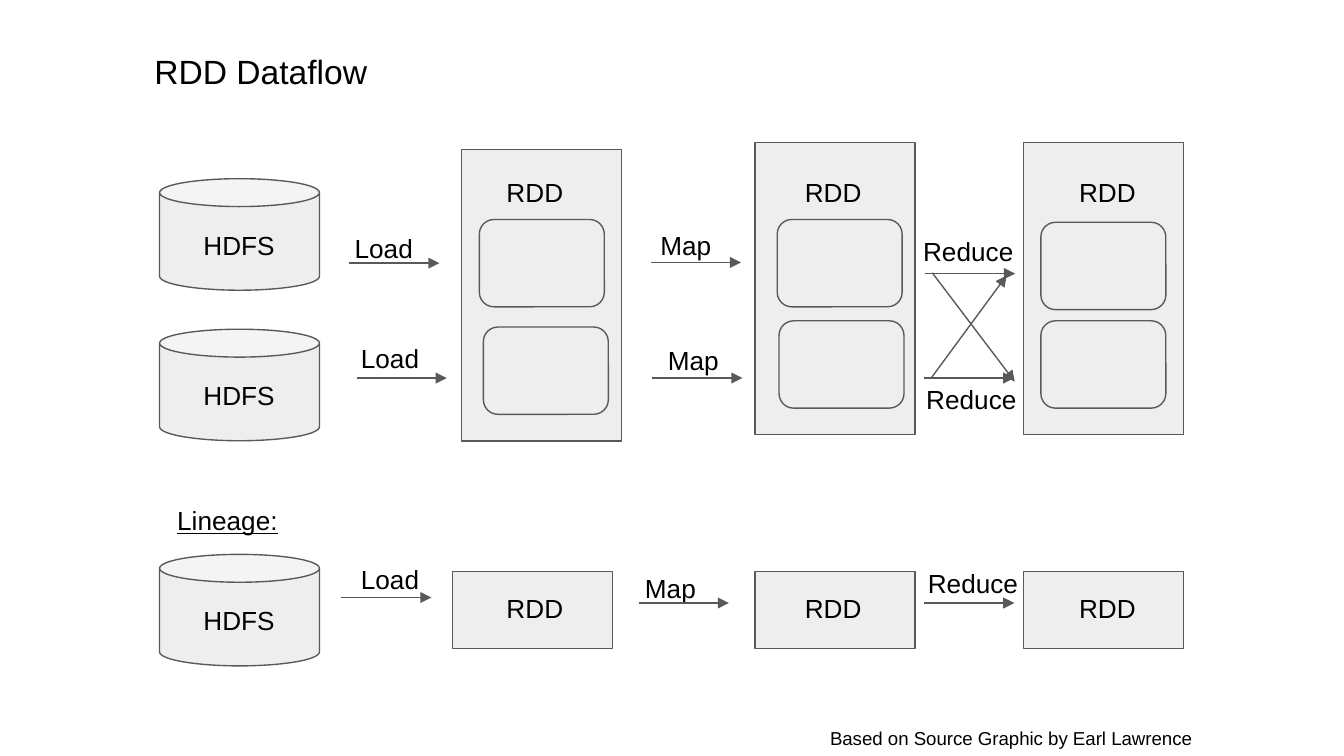
from dataclasses import dataclass
from lxml.etree import SubElement
from pptx import Presentation
from pptx.dml.color import RGBColor
from pptx.enum.shapes import MSO_CONNECTOR, MSO_SHAPE
from pptx.oxml.ns import qn
from pptx.util import Inches, Pt


@dataclass(frozen=True)
class Theme:
    fill: RGBColor = RGBColor(0xEE, 0xEE, 0xEE)
    line: RGBColor = RGBColor(0x59, 0x59, 0x59)
    ink: RGBColor = RGBColor(0, 0, 0)
    font: str = "Arial"
    title: int = 18
    body: int = 14
    small: int = 10
    stroke: float = 0.75


theme = Theme()
deck = Presentation()
deck.slide_width = Inches(10)
deck.slide_height = deck.slide_width * 9 // 16
slide = deck.slides.add_slide(deck.slide_layouts[6])
unit = deck.slide_width / 100


def draw(kind, *box):
    shape = slide.shapes.add_shape(kind, *[round(n * unit) for n in box])
    shape.shadow.inherit = False
    shape.fill.solid()
    shape.fill.fore_color.rgb = theme.fill
    shape.line.color.rgb = theme.line
    shape.line.width = Pt(theme.stroke)


def write(runs, *box, under=None):
    frame = slide.shapes.add_textbox(*[round(n * unit) for n in box]).text_frame
    frame.word_wrap = True
    frame.margin_left = frame.margin_right = round(unit)
    frame.margin_top = frame.margin_bottom = round(unit)
    for text, size in runs:
        run = frame.paragraphs[0].add_run()
        run.text = text
        run.font.name = theme.font
        run.font.size = Pt(size)
        run.font.color.rgb = theme.ink
        run.font.underline = under


write([("RDD Dataflow", theme.title)], 10.5, 2.8, 23.8, 3.9)

for top in (13.3, 24.5, 41.25):
    draw(MSO_SHAPE.CAN, 11.87, top, 11.9, 8.3)
    write([("HDFS", theme.body)], 14.15, top + 2.75, 8.5, 2.7)

stages = [
    (34.33, 11.13, 33.67, 36.7, [(35.67, 16.33), (35.97, 24.33)]),
    (56.17, 10.63, 56.17, 58.9, [(57.83, 16.33), (57.97, 23.87)]),
    (76.15, 10.63, 76.15, 79.3, [(77.45, 16.54), (77.45, 23.87)]),
]
for left, top, base, label, parts in stages:
    draw(MSO_SHAPE.FLOWCHART_PROCESS, left, top, 11.9, 21.7)
    draw(MSO_SHAPE.FLOWCHART_PROCESS, base, 42.54, 11.9, 5.7)
    for x, y in parts:
        draw(MSO_SHAPE.ROUNDED_RECTANGLE, x, y, 9.3, 6.5)
    for y in (12.1, 43.1):
        write([("RDD", theme.body)], label, y, 7.2, 2.7)

steps = [
    ("Load", 9.9, 4.2, [(26, 19.58, 25.4, 16.3), (26.54, 28.13, 25.87, 24.5), (25.4, 44.46, 25.87, 40.9)]),
    ("Map", 7.8, 2.7, [(48.43, 19.53, 48.15, 16.1), (48.54, 28.13, 48.7, 24.64), (47.54, 44.87, 47, 41.6)]),
    ("Reduce", 10.2, 2.4, [(68.83, 20.36, 67.7, 16.5), (68.77, 28.13, 67.93, 27.5), (68.77, 44.87, 68.05, 41.24)]),
]
lines = [(69.25, 28.18, 74.9, 20.5), (69.37, 20.3, 75.5, 28.4)]
for name, wide, high, spots in steps:
    for x, y, left, top in spots:
        write([(name, theme.body)], left, top, wide, high)
        lines.append((x, y, x + 6.7, y))

for ends in lines:
    arrow = slide.shapes.add_connector(MSO_CONNECTOR.STRAIGHT, *[round(n * unit) for n in ends])
    arrow.line.color.rgb = theme.line
    arrow.line.width = Pt(theme.stroke)
    SubElement(arrow._element.spPr.find(qn("a:ln")), qn("a:tailEnd"), type="triangle")
    SubElement(arrow._element.spPr, qn("a:effectLst"))

write([("Lineage:", theme.body)], 12.2, 36.54, 12.5, 3.9, under=True)
credit = [("Based on Source Graphic by Earl Lawrence", theme.small), (" ", theme.body)]
write(credit, 60.77, 52.5, 40.5, 3.9)

deck.save("out.pptx")
